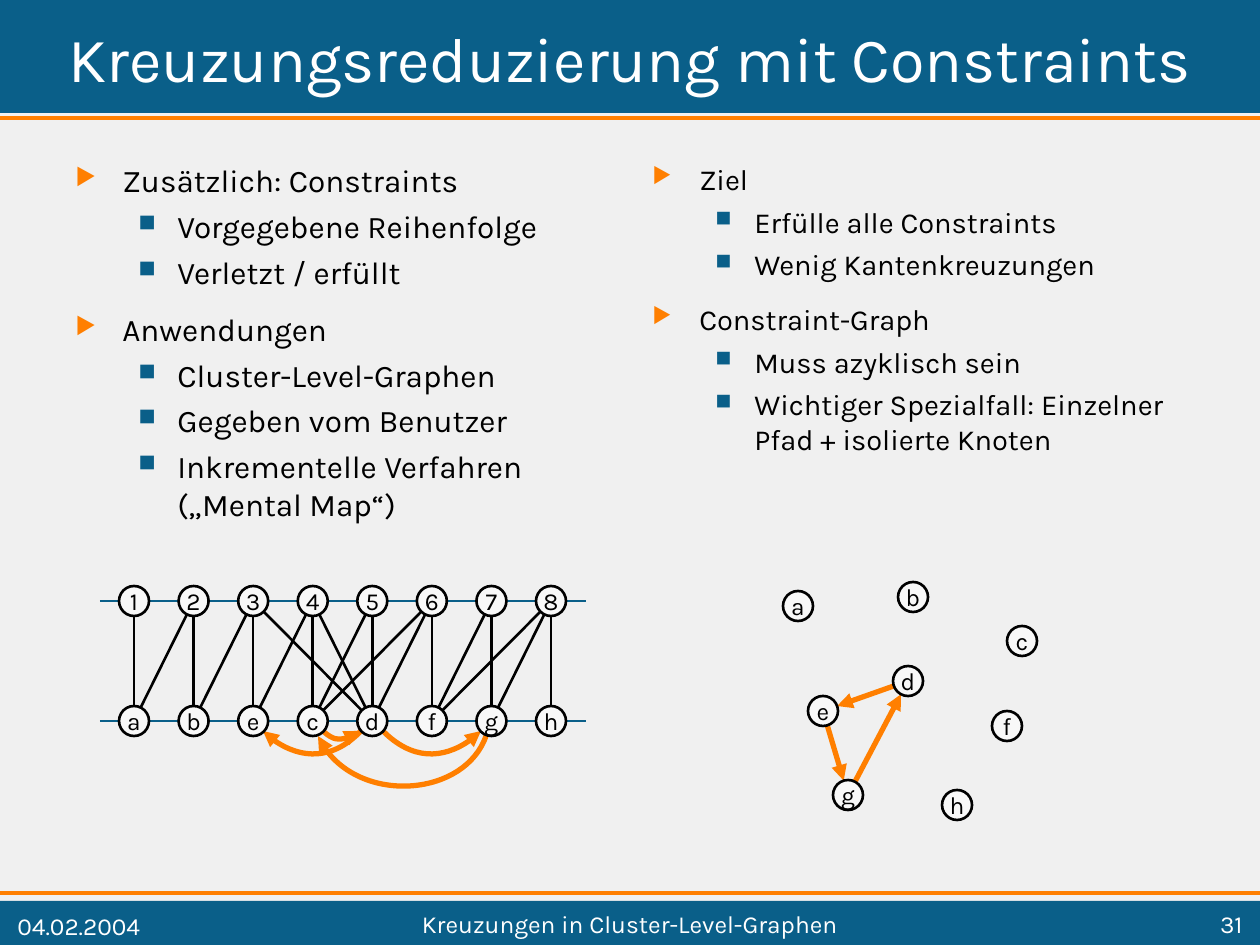
from dataclasses import dataclass
from math import hypot

from lxml import etree
from pptx import Presentation
from pptx.dml.color import RGBColor
from pptx.enum.shapes import MSO_CONNECTOR, MSO_SHAPE
from pptx.enum.text import MSO_ANCHOR, PP_ALIGN
from pptx.oxml.ns import qn
from pptx.util import Emu, Pt

STRAIGHT = MSO_CONNECTOR.STRAIGHT
RECTANGLE, OVAL = MSO_SHAPE.RECTANGLE, MSO_SHAPE.OVAL
LEFT, CENTER, RIGHT = PP_ALIGN.LEFT, PP_ALIGN.CENTER, PP_ALIGN.RIGHT
TOP, MIDDLE = MSO_ANCHOR.TOP, MSO_ANCHOR.MIDDLE
TITLE_ONLY = 5
PX = 914400 / 126
WIDTH, HEIGHT = 1260, 945


@dataclass(frozen=True)
class Theme:
    font: str = "Karla"
    background: str = "F0F0F0"
    blue: str = "0A5F89"
    orange: str = "FF7F00"
    black: str = "000000"
    white: str = "FFFFFF"
    node: str = "F8F8F8"
    title_size: float = 36
    left_size: float = 18
    right_size: float = 16.6
    small_size: float = 14
    rule: float = 2.25
    thin: float = 1.5
    arrow: float = 3


THEME = Theme()

TITLE = "Kreuzungsreduzierung mit Constraints"
# Each list entry is (level, text); each column is (box, type size, entries).
COLUMNS = [
    ((63, 155, 557, 402), THEME.left_size, [
        (0, "Zusätzlich: Constraints"),
        (1, "Vorgegebene Reihenfolge"),
        (1, "Verletzt / erfüllt"),
        (0, "Anwendungen"),
        (1, "Cluster-Level-Graphen"),
        (1, "Gegeben vom Benutzer"),
        (1, "Inkrementelle Verfahren\v(„Mental Map“)"),
    ]),
    ((640, 155, 557, 348), THEME.right_size, [
        (0, "Ziel"),
        (1, "Erfülle alle Constraints"),
        (1, "Wenig Kantenkreuzungen"),
        (0, "Constraint-Graph"),
        (1, "Muss azyklisch sein"),
        (1, "Wichtiger Spezialfall: Einzelner Pfad + isolierte Knoten"),
    ]),
]
FOOTER = [
    ((164, 906, 932, 35), "Kreuzungen in Cluster-Level-Graphen", CENTER),
    ((1106, 906, 149, 35), "31", RIGHT),
    ((5, 906, 199, 39), "04.02.2004", LEFT),
]

# Per level: bullet, its colour, left margin and hanging indent in px, space before in pt
LEVELS = [
    ("▶", THEME.orange, 47, 47, 11.2),
    ("■", THEME.blue, 102, 39, 4.5),
]

UPPER_LEVEL, LOWER_LEVEL = "12345678", "abecdfgh"
LEVEL_EDGES = ("1a 2a 2b 3b 3e 4e 4c 5c 6c 3d 4d 5d 6d "
               "6f 7f 8f 7g 8g 8h").split()
UPPER_Y, LOWER_Y = 601, 721
FIRST_X, LAST_X = 134, 551
LEVEL_LINE = (100, 586)
NODE = 30
CONSTRAINT_ARCS = [
    [(361, 731), (333, 760), (292, 760), (263, 731)],
    [(323, 731), (334, 741), (349, 741), (360, 731)],
    [(383, 731), (412, 760), (452, 760), (481, 731)],
    [(486, 736), (465, 796), (350, 806), (318, 736)],
]
CONSTRAINT_NODES = {
    "a": (798, 606), "b": (913, 597), "c": (1022, 641), "d": (908, 681),
    "e": (823, 711), "f": (1007, 726), "g": (848, 795), "h": (957, 805),
}
CONSTRAINT_EDGES = ["de", "gd", "eg"]


def emu(*lengths):
    return [Emu(round(length * PX)) for length in lengths]


def rgb(value):
    return RGBColor.from_string(value)


def add_bullet(paragraph, level):
    character, color, margin, hanging, _ = LEVELS[level]
    properties = paragraph._p.get_or_add_pPr()
    margin, hanging = emu(margin, hanging)
    properties.set("marL", str(margin))
    properties.set("indent", str(-hanging))
    bullet_color = etree.SubElement(properties, qn("a:buClr"))
    etree.SubElement(bullet_color, qn("a:srgbClr"), val=color)
    etree.SubElement(properties, qn("a:buSzPct"), val="75000")
    etree.SubElement(properties, qn("a:buChar"), char=character)


def write(shape, entries, size=THEME.small_size, color=THEME.black,
          align=LEFT, anchor=MIDDLE, wrap=True):
    """Fill a shape with one text, or with a list of (level, text) bullets."""
    frame = shape.text_frame
    frame.word_wrap, frame.vertical_anchor = wrap, anchor
    if isinstance(entries, str):
        entries = [(None, entries)]
    for index, (level, text) in enumerate(entries):
        paragraph = frame.add_paragraph() if index else frame.paragraphs[0]
        paragraph.text, paragraph.alignment = text, align
        if level is not None:
            paragraph.level = level
            add_bullet(paragraph, level)
            paragraph.space_before = Pt(LEVELS[level][4] if index else 0)
        for run in paragraph.runs:
            run.font.name, run.font.size = THEME.font, Pt(size)
            run.font.color.rgb = rgb(color)


def style_line(shape, color, width, arrow=False):
    shape.line.color.rgb, shape.line.width = rgb(color), Pt(width)
    if arrow:
        outline = shape.element.spPr.find(qn("a:ln"))
        etree.SubElement(outline, qn("a:tailEnd"), type="triangle")


def add_line(slide, start, end, color, width, arrow=False):
    line = slide.shapes.add_connector(STRAIGHT, *emu(*start, *end))
    style_line(line, color, width, arrow)
    etree.SubElement(line.element.spPr, qn("a:effectLst"))


def add_filled(slide, kind, box, color):
    shape = slide.shapes.add_shape(kind, *emu(*box))
    shape.shadow.inherit = False
    shape.fill.solid()
    shape.fill.fore_color.rgb = rgb(color)
    shape.line.fill.background()
    return shape


def add_arc(slide, points):
    """Draw an arrow along the cubic curve with these four control points."""
    builder = slide.shapes.build_freeform(*points[0], scale=PX)
    builder.add_line_segments(points[1:], close=False)
    arc = builder.convert_to_shape()
    segments = list(arc.element.iter(qn("a:lnTo")))
    curve = etree.SubElement(segments[0].getparent(), qn("a:cubicBezTo"))
    for segment in segments:
        curve.append(segment[0])
        segment.getparent().remove(segment)
    arc.shadow.inherit = False
    arc.fill.background()
    style_line(arc, THEME.orange, THEME.arrow, arrow=True)


def add_node(slide, label, center):
    x, y = center
    node = add_filled(slide, OVAL, (x - NODE / 2, y - NODE / 2, NODE, NODE), THEME.node)
    style_line(node, THEME.black, THEME.thin)
    write(node, label, align=CENTER, wrap=False)


def toward(start, end):
    """Point where the line from start to end leaves the node at start."""
    share = NODE / 2 / hypot(end[0] - start[0], end[1] - start[1])
    return [a + (b - a) * share for a, b in zip(start, end)]


def add_frame(slide):
    header = add_filled(slide, RECTANGLE, (0, 0, WIDTH, 113), THEME.blue)
    add_filled(slide, RECTANGLE, (0, 901, WIDTH, 44), THEME.blue)
    for y in (118, 893):
        add_line(slide, (0, y), (WIDTH, y), THEME.orange, THEME.rule)
    title = slide.shapes.title
    title.left, title.top, title.width, title.height = emu(5, 5, 1250, 105)
    write(title, TITLE, size=THEME.title_size, color=THEME.white, align=CENTER)
    header.element.addnext(title.element)
    for box, text, align in FOOTER:
        write(slide.shapes.add_textbox(*emu(*box)), text, color=THEME.white, align=align)


def add_level_graph(slide):
    step = (LAST_X - FIRST_X) / (len(UPPER_LEVEL) - 1)
    centers = {}
    for labels, y in ((UPPER_LEVEL, UPPER_Y), (LOWER_LEVEL, LOWER_Y)):
        add_line(slide, (LEVEL_LINE[0], y), (LEVEL_LINE[1], y), THEME.blue, THEME.thin)
        centers.update({label: (FIRST_X + i * step, y) for i, label in enumerate(labels)})
    for upper, lower in LEVEL_EDGES:
        add_line(slide, centers[upper], centers[lower], THEME.black, THEME.thin)
    for points in CONSTRAINT_ARCS:
        add_arc(slide, points)
    for label, center in centers.items():
        add_node(slide, label, center)


def add_constraint_graph(slide):
    for source, target in CONSTRAINT_EDGES:
        start, end = CONSTRAINT_NODES[source], CONSTRAINT_NODES[target]
        add_line(slide, toward(start, end), toward(end, start),
                 THEME.orange, THEME.arrow, arrow=True)
    for label, center in CONSTRAINT_NODES.items():
        add_node(slide, label, center)


def main():
    presentation = Presentation()
    presentation.slide_width, presentation.slide_height = emu(WIDTH, HEIGHT)
    slide = presentation.slides.add_slide(presentation.slide_layouts[TITLE_ONLY])
    slide.background.fill.solid()
    slide.background.fill.fore_color.rgb = rgb(THEME.background)
    add_frame(slide)
    for box, size, entries in COLUMNS:
        write(slide.shapes.add_textbox(*emu(*box)), entries, size=size, anchor=TOP)
    add_level_graph(slide)
    add_constraint_graph(slide)
    presentation.save("out.pptx")


if __name__ == "__main__":
    main()
